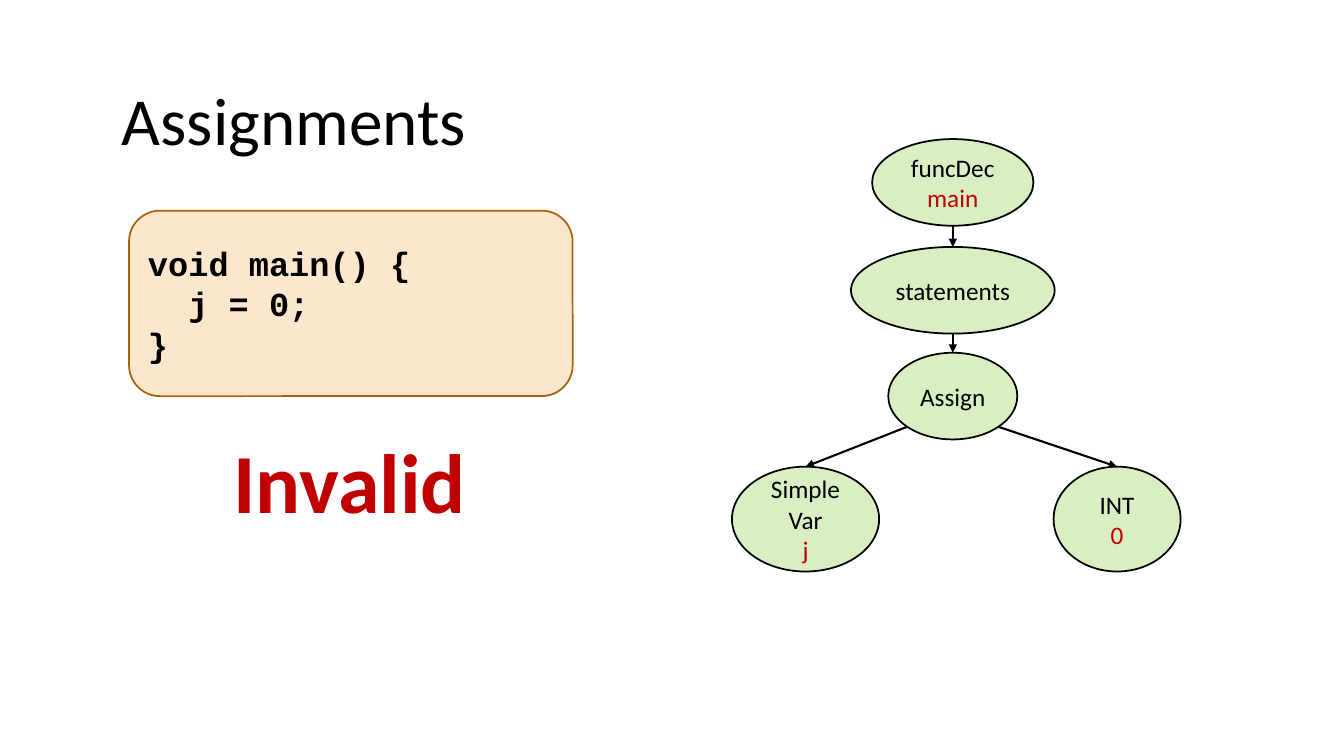
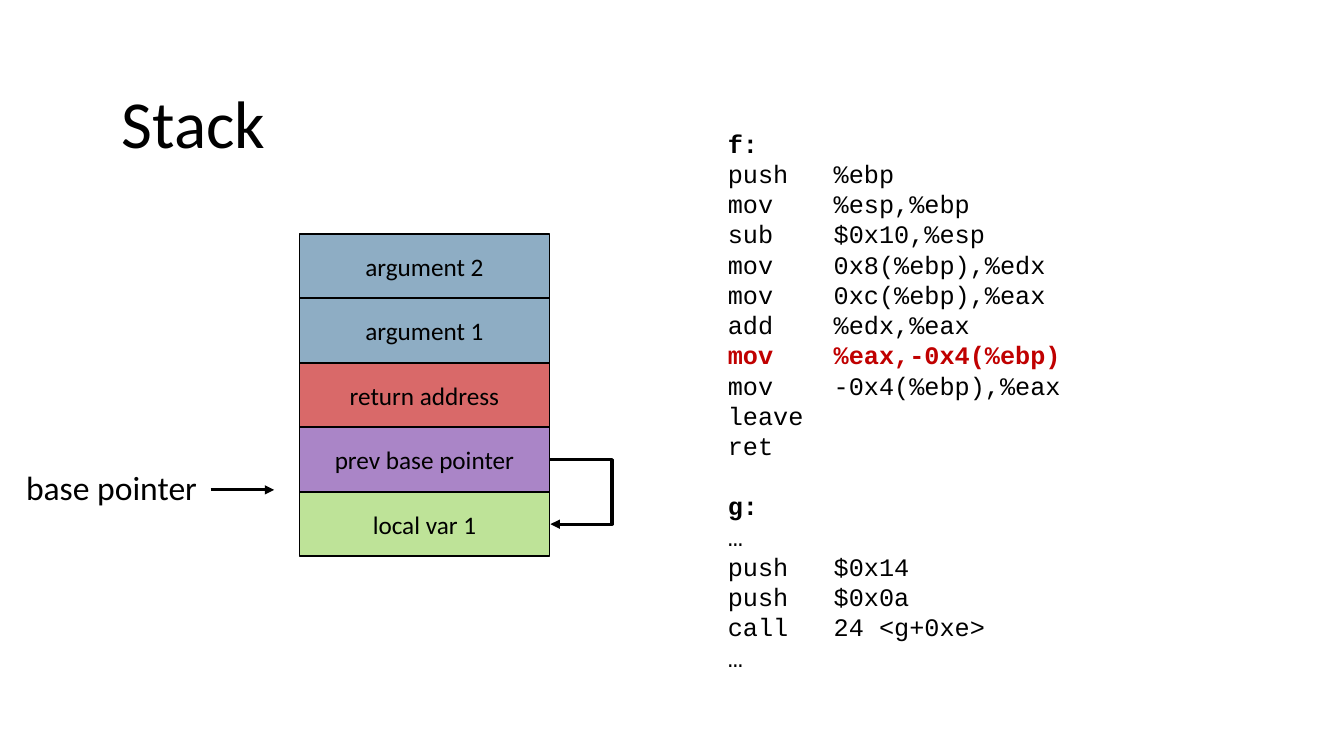
from math import sqrt
from typing import NamedTuple

from lxml import etree
from pptx import Presentation
from pptx.dml.color import RGBColor
from pptx.enum.shapes import MSO_CONNECTOR as CONNECTOR, MSO_SHAPE as SHAPE
from pptx.enum.text import MSO_ANCHOR as ANCHOR, PP_ALIGN as ALIGN
from pptx.oxml.ns import qn
from pptx.util import Pt

# Shared measures and styles
EMU_PER_PX = 9144  # 100 px to the inch
SANS, MONO = "Calibri", "Courier New"
BLACK, RED, GREEN = "000000", "C00000", "92D050"
BLUE, PURPLE = "40749B", "7030A0"
CODE_FILL, CODE_LINE = "FBE6CE", "A9610D"
NODE_OPACITY, CELL_OPACITY = 34, 59
OPERAND_TAB = 105


class Line(NamedTuple):
    text: str
    color: str = BLACK
    bold: bool = False
    before: float = 0


def px(value):
    return int(value * EMU_PER_PX)


def color_of(hex_string):
    return RGBColor.from_string(hex_string)


def write(frame, lines, size, font=SANS, align=ALIGN.LEFT, tab=None):
    """Fill a text frame, one paragraph for each line."""
    frame.word_wrap = True
    for index, line in enumerate(lines):
        paragraph = frame.paragraphs[0] if index == 0 else frame.add_paragraph()
        paragraph.text = line.text
        paragraph.alignment = align
        if line.before:
            paragraph.space_before = Pt(line.before)
        if tab:
            properties = paragraph._p.get_or_add_pPr()
            tab_list = etree.SubElement(properties, qn("a:tabLst"))
            etree.SubElement(tab_list, qn("a:tab"), pos=str(px(tab)), algn="l")
        paragraph.font.name = font
        paragraph.font.size = Pt(size)
        paragraph.font.bold = line.bold
        paragraph.font.color.rgb = color_of(line.color)


def add_text(slide, box, lines, size, **style):
    shape = slide.shapes.add_textbox(*map(px, box))
    write(shape.text_frame, lines, size, **style)


def add_title(slide, text, top):
    add_text(slide, (111, top, 1109, 91), [Line(text)], 48)


def add_box(slide, kind, box, lines, fill, size=18, line=BLACK, opacity=None,
            font=SANS, align=ALIGN.CENTER):
    shape = slide.shapes.add_shape(kind, *map(px, box))
    shape.shadow.inherit = False
    shape.fill.solid()
    shape.fill.fore_color.rgb = color_of(fill)
    if opacity:
        color = shape._element.spPr.find(qn("a:solidFill"))[0]
        etree.SubElement(color, qn("a:alpha"), val=str(opacity * 1000))
    shape.line.color.rgb = color_of(line)
    shape.line.width = Pt(1.25)
    shape.text_frame.vertical_anchor = ANCHOR.MIDDLE
    write(shape.text_frame, lines, size, font, align)


def add_arrow(slide, start, end, width, bend_x=None):
    """Arrow from start to end; with bend_x it turns at that position."""
    kind = CONNECTOR.STRAIGHT if bend_x is None else CONNECTOR.ELBOW
    arrow = slide.shapes.add_connector(kind, *map(px, (*start, *end)))
    arrow.line.color.rgb = color_of(BLACK)
    arrow.line.width = Pt(width)
    properties = arrow._element.spPr
    etree.SubElement(properties.find(qn("a:ln")), qn("a:tailEnd"), type="triangle")
    etree.SubElement(properties, qn("a:effectLst"))
    if bend_x is not None:
        ratio = (bend_x - start[0]) / (end[0] - start[0])
        guides = properties.find(qn("a:prstGeom")).get_or_add_avLst()
        etree.SubElement(guides, qn("a:gd"), name="adj1",
                         fmla=f"val {round(ratio * 100000)}")


def add_node(slide, box, label, *values):
    """Syntax tree node, its value in red below the label."""
    lines = [Line(text) for text in label.split("\n")]
    lines += [Line(value, RED) for value in values]
    add_box(slide, SHAPE.OVAL, box, lines, GREEN, opacity=NODE_OPACITY)


def rim_point(box, across, down):
    """Point of an oval's rim, offsets from its centre given in half-axes."""
    left, top, width, height = box
    return left + width / 2 * (1 + across), top + height / 2 * (1 + down)


def build_assignments(slide):
    add_title(slide, "Assignments", 73)
    code = [Line(text, bold=True) for text in ("void main() {", "  j = 0;", "}")]
    add_box(slide, SHAPE.ROUNDED_RECTANGLE, (128, 209, 440, 184), code, CODE_FILL,
            size=24, line=CODE_LINE, font=MONO, align=ALIGN.LEFT)
    add_text(slide, (194, 421, 306, 111), [Line("Invalid", RED, True)], 60,
             align=ALIGN.CENTER)

    # Syntax tree
    function, statements, assign = (865, 138, 160, 86), (844, 245, 202, 86), (881, 350, 128, 86)
    variable, number = (726, 463, 146, 104), (1045, 463, 126, 104)
    add_node(slide, function, "funcDec", "main")
    add_node(slide, statements, "statements")
    add_node(slide, assign, "Assign")
    add_node(slide, variable, "Simple\nVar", "j")
    add_node(slide, number, "INT", "0")
    diagonal = sqrt(0.5)
    for parent, child, across, down in (
        (function, statements, 0, 1),
        (statements, assign, 0, 1),
        (assign, variable, -diagonal, diagonal),
        (assign, number, diagonal, diagonal),
    ):
        add_arrow(slide, rim_point(parent, across, down), rim_point(child, 0, -1), 1.5)


def build_stack(slide):
    add_title(slide, "Stack", 76)

    # Assembly listing
    listing = [
        Line("f:", bold=True),
        Line("push\t%ebp"),
        Line("mov\t%esp,%ebp"),
        Line("sub\t$0x10,%esp"),
        Line("mov\t0x8(%ebp),%edx"),
        Line("mov\t0xc(%ebp),%eax"),
        Line("add\t%edx,%eax"),
        Line("mov\t%eax,-0x4(%ebp)", RED, True),
        Line("mov\t-0x4(%ebp),%eax"),
        Line("leave"),
        Line("ret"),
        Line("g:", bold=True, before=21.5),
        Line("…"),
        Line("push\t$0x14"),
        Line("push\t$0x0a"),
        Line("call\t24 <g+0xe>"),
        Line("…"),
    ]
    add_text(slide, (712, 122, 508, 555), listing, 18, font=MONO, tab=OPERAND_TAB)

    # Stack cells, top to bottom
    left, top, width, height = 297, 232, 248, 64
    cells = (("argument 2", BLUE), ("argument 1", BLUE), ("return address", RED),
             ("prev base pointer", PURPLE), ("local var 1", GREEN))
    for row, (label, fill) in enumerate(cells):
        add_box(slide, SHAPE.RECTANGLE, (left, top + row * height, width, height),
                [Line(label)], fill, opacity=CELL_OPACITY)

    # Pointers
    add_text(slide, (16, 458, 204, 50), [Line("base pointer")], 24)
    add_arrow(slide, (209, 486), (272, 486), 2.25)
    right = left + width
    add_arrow(slide, (right, top + 3.5 * height), (right + 1, top + 4.5 * height),
              2.25, bend_x=right + 63)


def main():
    presentation = Presentation()
    presentation.slide_width, presentation.slide_height = px(1333), px(750)
    blank = presentation.slide_layouts[6]
    for build in (build_assignments, build_stack):
        build(presentation.slides.add_slide(blank))
    presentation.save("out.pptx")


if __name__ == "__main__":
    main()
